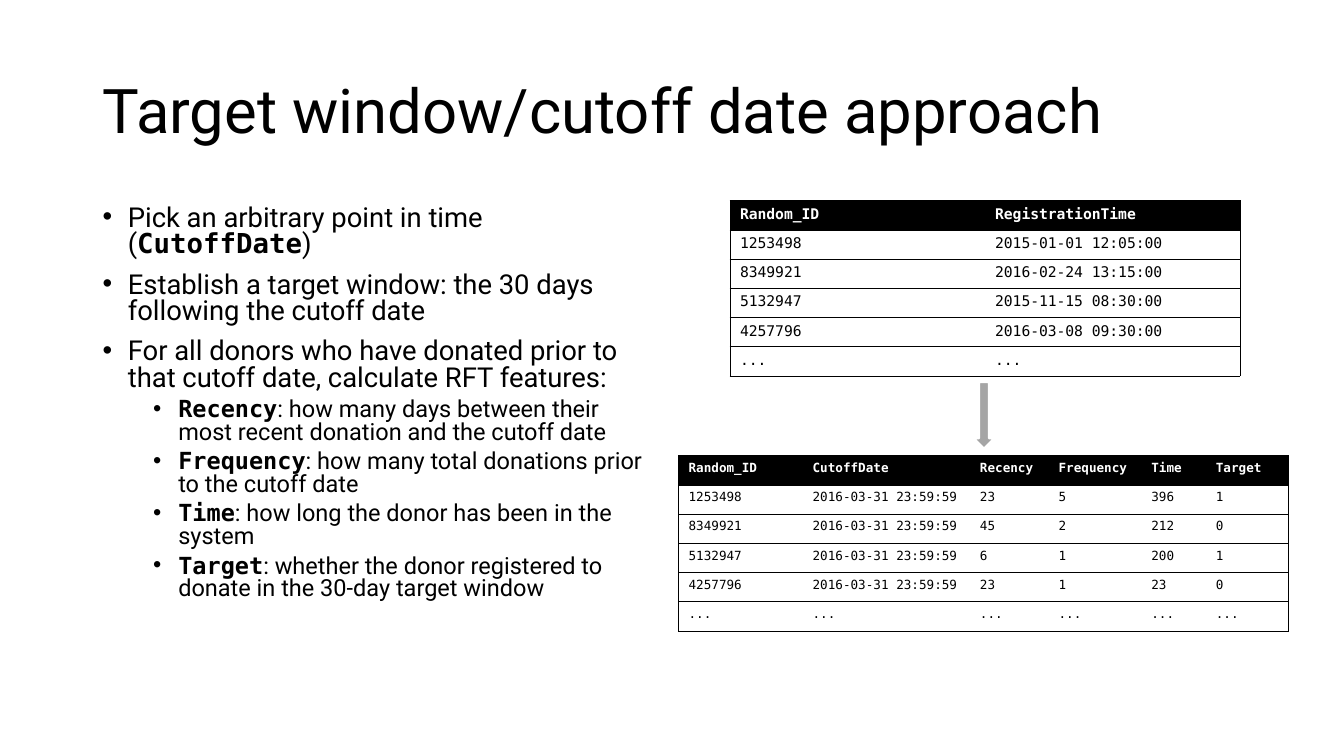
"""Build the slide on the target window and cutoff date approach."""
from lxml import etree
from pptx import Presentation, util as u
from pptx.dml.color import RGBColor
from pptx.enum import shapes, text
from pptx.oxml.ns import qn

PX = 9144
SANS, MONO = "Roboto", "DejaVu Sans Mono"
INK = {"black": "000000", "white": "FFFFFF", "gray": "A5A5A5"}


def style(run, size, face=SANS, bold=False, ink="black"):
    run.font.size = u.Pt(size)
    run.font.name = face
    run.font.bold = bold
    run.font.color.rgb = RGBColor.from_string(INK[ink])


def border(cell, side, shown):
    line = etree.SubElement(cell._tc.get_or_add_tcPr(), qn("a:ln" + side), w="6350")
    if shown:
        fill = etree.SubElement(line, qn("a:solidFill"))
        etree.SubElement(fill, qn("a:srgbClr"), val=INK["black"])
    else:
        etree.SubElement(line, qn("a:noFill"))


deck = Presentation()
deck.slide_width, deck.slide_height = 1333 * PX, 750 * PX
slide = deck.slides.add_slide(deck.slide_layouts[6])

title = slide.shapes.add_textbox(92 * PX, 40 * PX, 1150 * PX, 145 * PX).text_frame
title.word_wrap = True
title.vertical_anchor = text.MSO_ANCHOR.MIDDLE
title.text = "Target window/cutoff date approach"
title.paragraphs[0].line_spacing = 0.9
style(title.paragraphs[0].runs[0], 44)

points = [
    (0, "Pick an arbitrary point in time (", "CutoffDate", ")"),
    (0, "Establish a target window: the 30 days following the cutoff date", "", ""),
    (0, "For all donors who have donated prior to that cutoff date, calculate RFT features:", "", ""),
    (1, "", "Recency", ": how many days between their most recent donation and the cutoff date"),
    (1, "", "Frequency", ": how many total donations prior to the cutoff date"),
    (1, "", "Time", ": how long the donor has been in the system"),
    (1, "", "Target", ": whether the donor registered to donate in the 30-day target window"),
]
body = slide.shapes.add_textbox(92 * PX, 200 * PX, 567 * PX, 476 * PX).text_frame
body.word_wrap = True
for i, (level, lead, term, rest) in enumerate(points):
    para = body.add_paragraph() if i else body.paragraphs[0]
    para.level = level
    para.line_spacing = 0.8
    para.space_before = u.Pt(5 if level else 10)
    props = para._p.get_or_add_pPr()
    props.set("marL", str((25 + 50 * level) * PX))
    props.set("indent", str(-25 * PX))
    etree.SubElement(props, qn("a:buFont"), typeface="Arial")
    etree.SubElement(props, qn("a:buChar"), char="•")
    for part in (lead, term, rest):
        if part:
            run = para.add_run()
            run.text = part
            mono = part == term
            style(run, 16.8 if level else 19.6, MONO if mono else SANS, mono)

donors = ["1253498", "8349921", "5132947", "4257796"]
times = ["2015-01-01 12:05:00", "2016-02-24 13:15:00", "2015-11-15 08:30:00", "2016-03-08 09:30:00"]
facts = [("23", "5", "396", "1"), ("45", "2", "212", "0"), ("6", "1", "200", "1"), ("23", "1", "23", "0")]
cutoff = "2016-03-31 23:59:59"
tables = [
    (724, 199, 10.5, [253, 253], ["Random_ID", "RegistrationTime"], list(zip(donors, times))),
    (673, 452, 9, [123, 166, 78, 92, 64, 82],
     ["Random_ID", "CutoffDate", "Recency", "Frequency", "Time", "Target"],
     [(donor, cutoff, *fact) for donor, fact in zip(donors, facts)]),
]
for left, top, size, widths, heads, data in tables:
    rows = [heads, *data, ["..."] * len(heads)]
    grid = slide.shapes.add_table(len(rows), len(heads), left * PX, top * PX,
                                  sum(widths) * PX, 29 * len(rows) * PX).table
    for col, width in zip(grid.columns, widths):
        col.width = width * PX
    for r, row in enumerate(rows):
        grid.rows[r].height = 29 * PX
        for c, value in enumerate(row):
            cell = grid.cell(r, c)
            border(cell, "L", c == 0)
            border(cell, "R", c == len(row) - 1)
            border(cell, "T", True)
            border(cell, "B", True)
            cell.fill.solid()
            cell.fill.fore_color.rgb = RGBColor.from_string(INK["white" if r else "black"])
            cell.text_frame.text = value
            style(cell.text_frame.paragraphs[0].runs[0], size, MONO, r == 0, "black" if r else "white")

arrow = slide.shapes.add_shape(shapes.MSO_SHAPE.DOWN_ARROW, 966 * PX, 379 * PX, 20 * PX, 66 * PX)
arrow.shadow.inherit = False
arrow.fill.solid()
arrow.fill.fore_color.rgb = RGBColor.from_string(INK["gray"])
arrow.line.color.rgb = RGBColor.from_string(INK["white"])
arrow.line.width = u.Pt(1.5)

deck.save("out.pptx")
